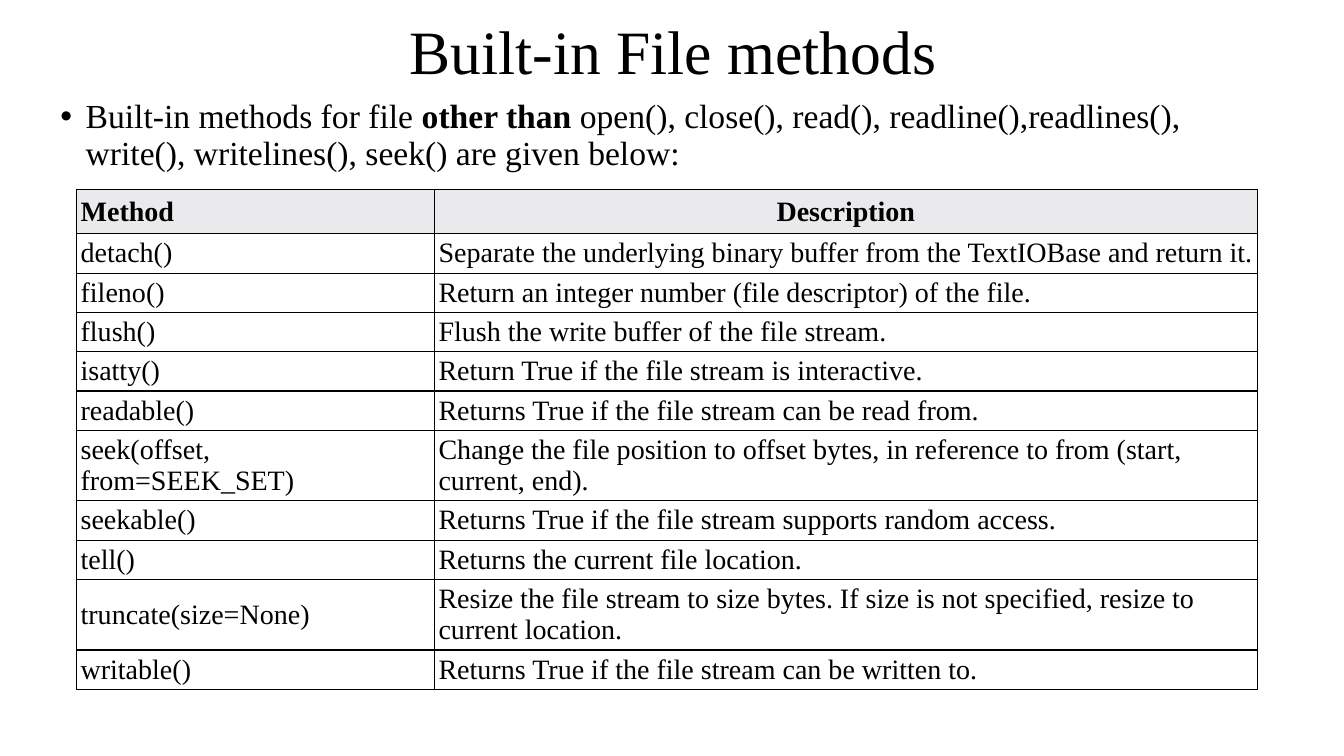
from pptx import Presentation
from pptx.dml.color import RGBColor
from pptx.enum.text import MSO_ANCHOR, MSO_AUTO_SIZE, PP_ALIGN
from pptx.oxml import parse_xml
from pptx.oxml.ns import nsdecls
from pptx.util import Inches, Pt

TITLE = "Built-in File methods"
INTRO = [
    ("Built-in methods for file ", False),
    ("other than", True),
    (" open(), close(), read(), readline(),readlines(), write(), "
     "writelines(), seek() are given below:", False),
]
METHODS = [
    ("Method", "Description"),
    ("detach()", "Separate the underlying binary buffer from the TextIOBase and return it."),
    ("fileno()", "Return an integer number (file descriptor) of the file."),
    ("flush()", "Flush the write buffer of the file stream."),
    ("isatty()", "Return True if the file stream is interactive."),
    ("readable()", "Returns True if the file stream can be read from."),
    ("seek(offset, from=SEEK_SET)",
     "Change the file position to offset bytes, in reference to from (start, current, end)."),
    ("seekable()", "Returns True if the file stream supports random access."),
    ("tell()", "Returns the current file location."),
    ("truncate(size=None)",
     "Resize the file stream to size bytes. If size is not specified, resize to current location."),
    ("writable()", "Returns True if the file stream can be written to."),
]
COLUMN_WIDTHS = (3.55, 8.16)
HEADER_HEIGHT, LINE_HEIGHT, TWO_LINE_HEIGHT = 0.44, 0.39, 0.7
LONG_DESCRIPTION = 75

FONT = "Times New Roman"
BLACK = RGBColor(0x00, 0x00, 0x00)
WHITE = RGBColor(0xFF, 0xFF, 0xFF)
HEADER_GRAY = RGBColor(0xEA, 0xEA, 0xEC)


def add_text(paragraph, text, size, bold=False):
    run = paragraph.add_run()
    run.text = text
    run.font.name = FONT
    run.font.size = Pt(size)
    run.font.bold = bold
    run.font.color.rgb = BLACK


def place(placeholder, left, top, width, height, anchor):
    placeholder.left, placeholder.top = Inches(left), Inches(top)
    placeholder.width, placeholder.height = Inches(width), Inches(height)
    frame = placeholder.text_frame
    frame.word_wrap = True
    frame.auto_size = MSO_AUTO_SIZE.NONE
    frame.vertical_anchor = anchor
    paragraph = frame.paragraphs[0]
    paragraph.line_spacing = 0.9
    return paragraph


def add_borders(cell):
    properties = cell._tc.get_or_add_tcPr()
    for index, side in enumerate(("lnL", "lnR", "lnT", "lnB")):
        properties.insert(index, parse_xml(
            f'<a:{side} {nsdecls("a")} w="{Pt(1)}"><a:solidFill>'
            f'<a:srgbClr val="{BLACK}"/></a:solidFill></a:{side}>'))


def fill_cell(cell, text, is_header, centered):
    cell.fill.solid()
    cell.fill.fore_color.rgb = HEADER_GRAY if is_header else WHITE
    cell.vertical_anchor = MSO_ANCHOR.MIDDLE
    cell.margin_left = cell.margin_right = Inches(0.04)
    cell.margin_top = Inches(0.07 if is_header else 0.04)
    cell.margin_bottom = Inches(0.06 if is_header else 0.04)
    paragraph = cell.text_frame.paragraphs[0]
    paragraph.alignment = PP_ALIGN.CENTER if centered else PP_ALIGN.LEFT
    add_text(paragraph, text, 20, is_header)
    add_borders(cell)


def row_height(row, description):
    if row == 0:
        return HEADER_HEIGHT
    return TWO_LINE_HEIGHT if len(description) > LONG_DESCRIPTION else LINE_HEIGHT


def main():
    deck = Presentation()
    deck.slide_width, deck.slide_height = Inches(13.33), Inches(7.5)
    slide = deck.slides.add_slide(deck.slide_layouts[1])

    heading = place(slide.shapes.title, 0.93, 0.14, 11.5, 0.8, MSO_ANCHOR.MIDDLE)
    heading.alignment = PP_ALIGN.CENTER
    add_text(heading, TITLE, 44)

    intro = place(slide.placeholders[1], 0.5, 0.94, 11.92, 5.5, MSO_ANCHOR.TOP)
    intro.space_before = Pt(10)
    indents = intro._p.get_or_add_pPr()
    indents.set("marL", str(Inches(0.25)))
    indents.set("indent", str(Inches(-0.25)))
    for text, bold in INTRO:
        add_text(intro, text, 24, bold)

    heights = [row_height(row, method[1]) for row, method in enumerate(METHODS)]
    table = slide.shapes.add_table(
        len(METHODS), len(COLUMN_WIDTHS), Inches(0.76), Inches(1.88),
        Inches(sum(COLUMN_WIDTHS)), Inches(sum(heights))).table
    table.horz_banding = False
    for column, width in zip(table.columns, COLUMN_WIDTHS):
        column.width = Inches(width)
    for row, method in enumerate(METHODS):
        table.rows[row].height = Inches(heights[row])
        for column, text in enumerate(method):
            fill_cell(table.cell(row, column), text, row == 0, row == 0 and column == 1)

    deck.save("out.pptx")


if __name__ == "__main__":
    main()
